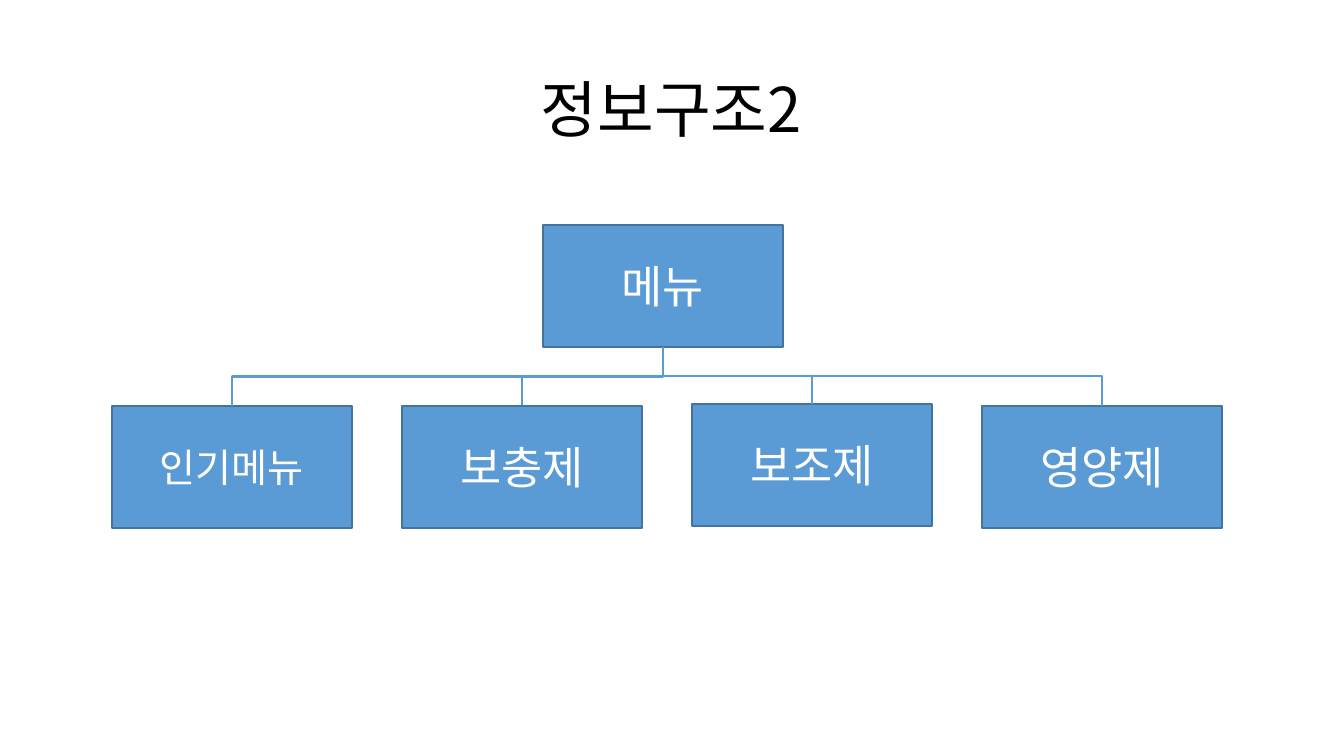
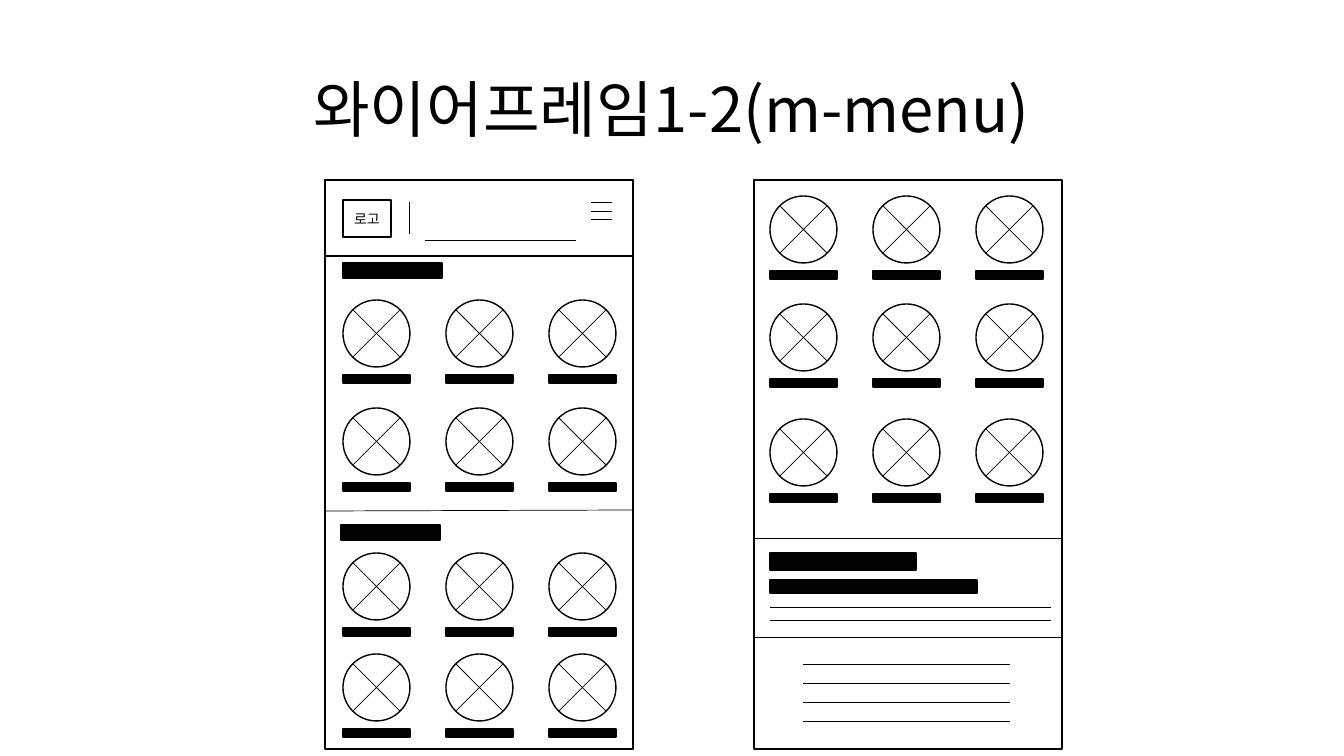
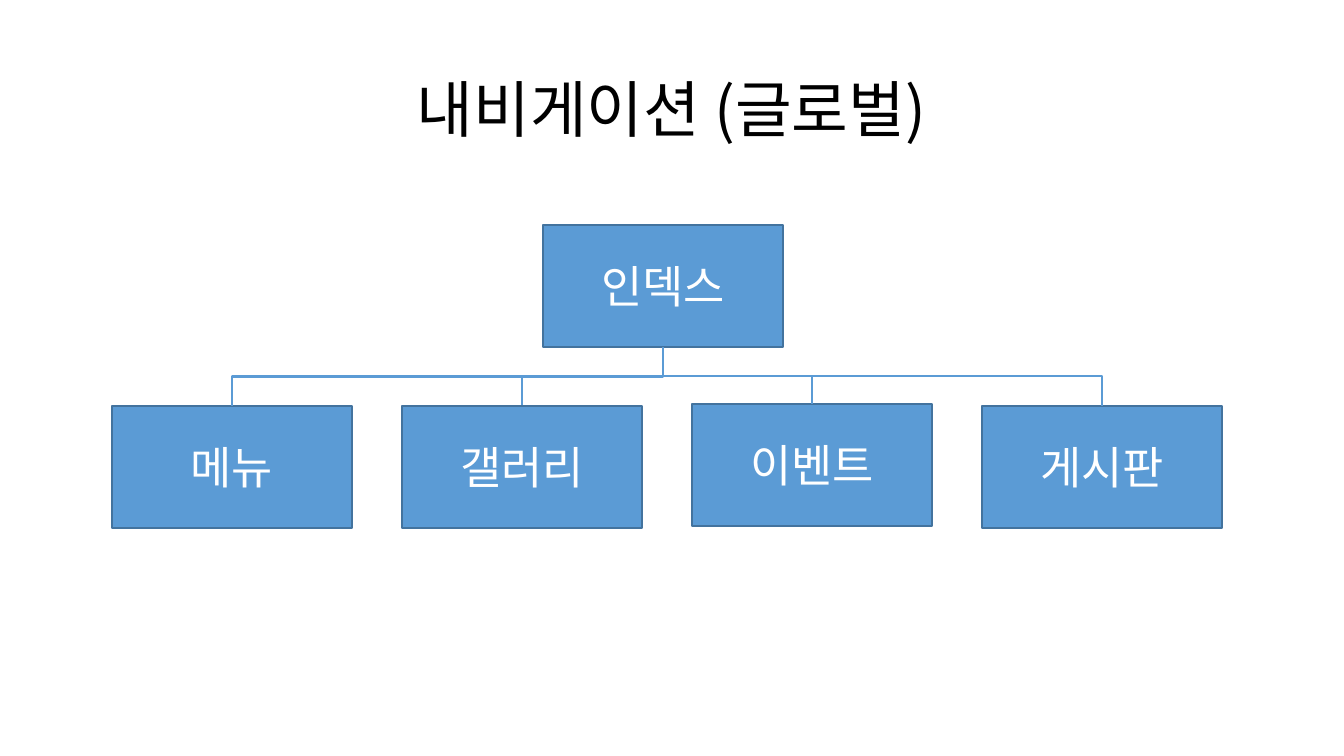
from lxml.etree import SubElement
from pptx import Presentation
from pptx.dml.color import RGBColor
from pptx.enum.shapes import MSO_CONNECTOR, MSO_SHAPE
from pptx.enum.text import MSO_ANCHOR, PP_ALIGN
from pptx.oxml.ns import qn
from pptx.util import Emu, Pt

FONT = "Noto Sans CJK KR"
BLACK = RGBColor(0x00, 0x00, 0x00)
WHITE = RGBColor(0xFF, 0xFF, 0xFF)
BLUE = RGBColor(0x5B, 0x9B, 0xD5)
NAVY = RGBColor(0x43, 0x73, 0x9E)


def px(num):
    """Turn pixels into EMU."""
    return Emu(round(num * 914400 / 100.8))


class Deck:
    """Hold the style and the current slide."""

    def __init__(self):
        """Start an empty wide deck."""
        self.prs = Presentation()
        self.prs.slide_width, self.prs.slide_height = px(1344), px(756)
        self.slide = None

    def page(self, title):
        """Add a slide with a centred title."""
        self.slide = self.prs.slides.add_slide(self.prs.slide_layouts[5])
        head = self.slide.shapes.title
        head.left, head.top, head.width, head.height = map(px, (92, 40, 1159, 146))
        self.label(head, title, 44, BLACK)
        head.text_frame.paragraphs[0].line_spacing = 0.9

    def label(self, shape, text, size, color):
        """Set one centred line of text."""
        frame = shape.text_frame
        frame.text = text
        frame.word_wrap = True
        frame.vertical_anchor = MSO_ANCHOR.MIDDLE
        para = frame.paragraphs[0]
        para.alignment = PP_ALIGN.CENTER
        for run in para.runs:
            run.font.size = Pt(size)
            run.font.color.rgb = color
            run.font.name = FONT
            SubElement(run.font._element, qn("a:ea"), typeface=FONT)

    def box(self, left, top, width, height, fill=WHITE, edge=BLACK, kind=MSO_SHAPE.RECTANGLE):
        """Draw a filled shape with a thin edge."""
        shape = self.slide.shapes.add_shape(kind, px(left), px(top), px(width), px(height))
        shape.shadow.inherit = False
        shape.fill.solid()
        shape.fill.fore_color.rgb = fill
        shape.line.color.rgb = edge
        shape.line.width = Pt(1)
        return shape

    def line(self, x1, y1, x2, y2, color=BLACK, width=0.5, kind=MSO_CONNECTOR.STRAIGHT):
        """Draw a connector."""
        line = self.slide.shapes.add_connector(kind, px(x1), px(y1), px(x2), px(y2))
        line.line.color.rgb = color
        line.line.width = Pt(width)
        SubElement(line._element.spPr, qn("a:effectLst"))
        return line

    def elbow(self, x1, y1, x2, y2, preset, turn, flip=False):
        """Draw a bent connector turned to run up or down first."""
        wide, tall = abs(y2 - y1), abs(x2 - x1)
        left, top = (x1 + x2 - wide) / 2, (y1 + y2 - tall) / 2
        line = self.line(left, top, left + wide, top + tall, BLUE, 2, MSO_CONNECTOR.ELBOW)
        props = line._element.spPr
        frame = props.find(qn("a:xfrm"))
        frame.set("rot", str(turn * 60000))
        if flip:
            frame.set("flipV", "1")
        props.find(qn("a:prstGeom")).set("prst", preset)

    def node(self, left, top, text, size=32):
        """Draw a box of the tree."""
        self.label(self.box(left, top, 240, 122, BLUE, NAVY), text, size, WHITE)

    def tree(self, title, root, leaves):
        """Add a slide with a root and four leaves."""
        self.page(title)
        self.node(543, 225, root)
        tops = (406, 406, 404, 406)
        for i, (top, (text, size)) in enumerate(zip(tops, leaves)):
            self.node(112 + 290 * i, top, text, size)
        self.elbow(663, 347, 232, 406, "bentConnector3", 90)
        self.elbow(1102, 406, 663, 376, "bentConnector2", 270, True)
        self.line(522, 405, 522, 377, BLUE, 2)
        self.line(812, 404, 812, 376, BLUE, 2)

    def bar(self, left, top, width, height):
        """Draw a black bar that stands for text."""
        self.box(left, top, width, height, BLACK)

    def tile(self, left, top):
        """Draw a crossed circle above its caption bar."""
        self.box(left, top, 67, 67, kind=MSO_SHAPE.OVAL)
        self.line(left + 10, top + 57, left + 57, top + 10)
        self.line(left + 10, top + 10, left + 57, top + 57)
        self.bar(left, top + 75, 67, 8)

    def grid(self, left, tops):
        """Draw rows of three tiles."""
        for top in tops:
            for col in range(3):
                self.tile(left + 103 * col, top)


deck = Deck()

deck.tree("정보구조2", "메뉴", [("인기메뉴", 28), ("보충제", 32), ("보조제", 32), ("영양제", 32)])

deck.page("와이어프레임1-2(m-menu)")
deck.box(325, 180, 308, 569)
deck.box(325, 180, 308, 76)
deck.label(deck.box(343, 200, 48, 37), "로고", 10, BLACK)
deck.line(409, 202, 409, 234)
for y in (202, 211, 219):
    deck.line(591, y, 612, y)
deck.line(425, 240, 576, 240)
deck.bar(343, 263, 99, 15)
deck.line(325, 511, 634, 510)
deck.bar(341, 525, 99, 15)
deck.grid(343, (300, 408, 553, 654))

deck.box(754, 180, 308, 569)
deck.grid(770, (196, 304, 419))
for y in (538, 637):
    deck.line(754, y, 1063, y)
deck.bar(770, 553, 146, 17)
deck.bar(770, 580, 207, 13)
for y in (607, 620):
    deck.line(770, y, 1051, y)
for i in range(4):
    y = 664 + 19 * i
    deck.line(803, y, 1010, y)

deck.tree("내비게이션 (글로벌)", "인덱스", [(name, 32) for name in ("메뉴", "갤러리", "이벤트", "게시판")])

deck.prs.save("out.pptx")
